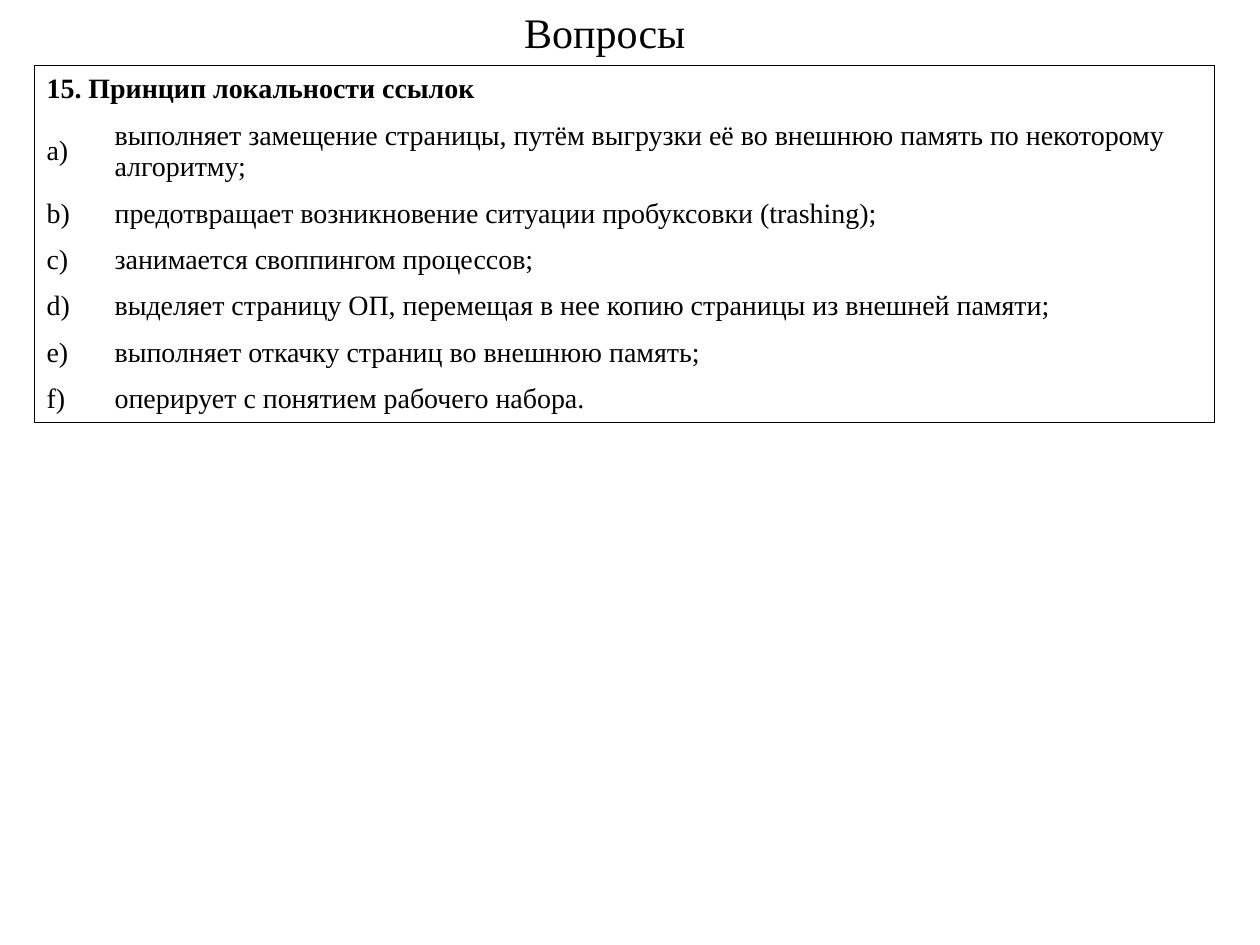
from lxml import etree
from pptx import Presentation, util as u
from pptx.dml.color import RGBColor
from pptx.enum import text
from pptx.oxml.ns import qn

HUES = {"ink": "000000"}
FACE = "Times New Roman"
INK = RGBColor.from_string(HUES["ink"])

deck = Presentation()
deck.slide_width, deck.slide_height = u.Inches(10), u.Inches(7.5)
slide = deck.slides.add_slide(deck.slide_layouts[5])


def write(frame, words, size, bold=False):
    """Add one run to the first paragraph of a frame."""
    run = frame.paragraphs[0].add_run()
    run.text = words
    font = run.font
    font.name, font.size, font.bold = FACE, u.Pt(size), bold
    font.color.rgb = INK


def edge(cell, tag, drawn):
    """Draw or clear one side of a cell."""
    line = etree.SubElement(cell._tc.get_or_add_tcPr(), qn("a:" + tag))
    if drawn:
        line.set("w", str(u.Pt(0.45)))
        fill = etree.SubElement(line, qn("a:solidFill"))
        etree.SubElement(fill, qn("a:srgbClr"), val=HUES["ink"])
    else:
        line.set("w", "0")
        etree.SubElement(line, qn("a:noFill"))


# Title
title = slide.shapes.title
title.left, title.top = u.Inches(4.06), 0
title.width, title.height = u.Inches(1.57), u.Inches(0.5)
frame = title.text_frame
frame.word_wrap = False
frame.auto_size = text.MSO_AUTO_SIZE.NONE
frame.vertical_anchor = text.MSO_ANCHOR.TOP
frame.paragraphs[0].alignment = text.PP_ALIGN.LEFT
write(frame, "Вопросы", 24)

# Question and its answers
head = "15. Принцип локальности ссылок"
answers = [
    "выполняет замещение страницы, путём выгрузки её во внешнюю память по некоторому алгоритму;",
    "предотвращает возникновение ситуации пробуксовки (trаshing);",
    "занимается своппингом процессов;",
    "выделяет страницу ОП, перемещая в нее копию страницы из внешней памяти;",
    "выполняет откачку страниц во внешнюю память;",
    "оперирует с понятием рабочего набора.",
]
rows = [(head, "")] + [(f"{mark})", words) for mark, words in zip("abcdef", answers)]
last = len(rows) - 1

# Table grid: a tall row for the first answer, the rest share equally
wide, high, tall = (0.54, 8.83), 2.83, 0.63
line = (high - tall) / last
grid = slide.shapes.add_table(len(rows), 2, u.Inches(0.27), u.Inches(0.52),
                              u.Inches(sum(wide)), u.Inches(high)).table
grid.first_row = grid.horz_banding = False
for col, width in zip(grid.columns, wide):
    col.width = u.Inches(width)
for i, row in enumerate(grid.rows):
    row.height = u.Inches(tall if i == 1 else line)
grid.cell(0, 0).merge(grid.cell(0, 1))

# Cells, with a frame around the outside only
for i, pair in enumerate(rows):
    for j, words in enumerate(pair):
        cell = grid.cell(i, j)
        cell.vertical_anchor = text.MSO_ANCHOR.MIDDLE
        edge(cell, "lnL", j == 0)
        edge(cell, "lnR", j == 1 or i == 0)
        edge(cell, "lnT", i == 0)
        edge(cell, "lnB", i == last)
        cell.fill.background()
        if words:
            write(cell.text_frame, words, 16, bold=i == 0)

deck.save("out.pptx")
